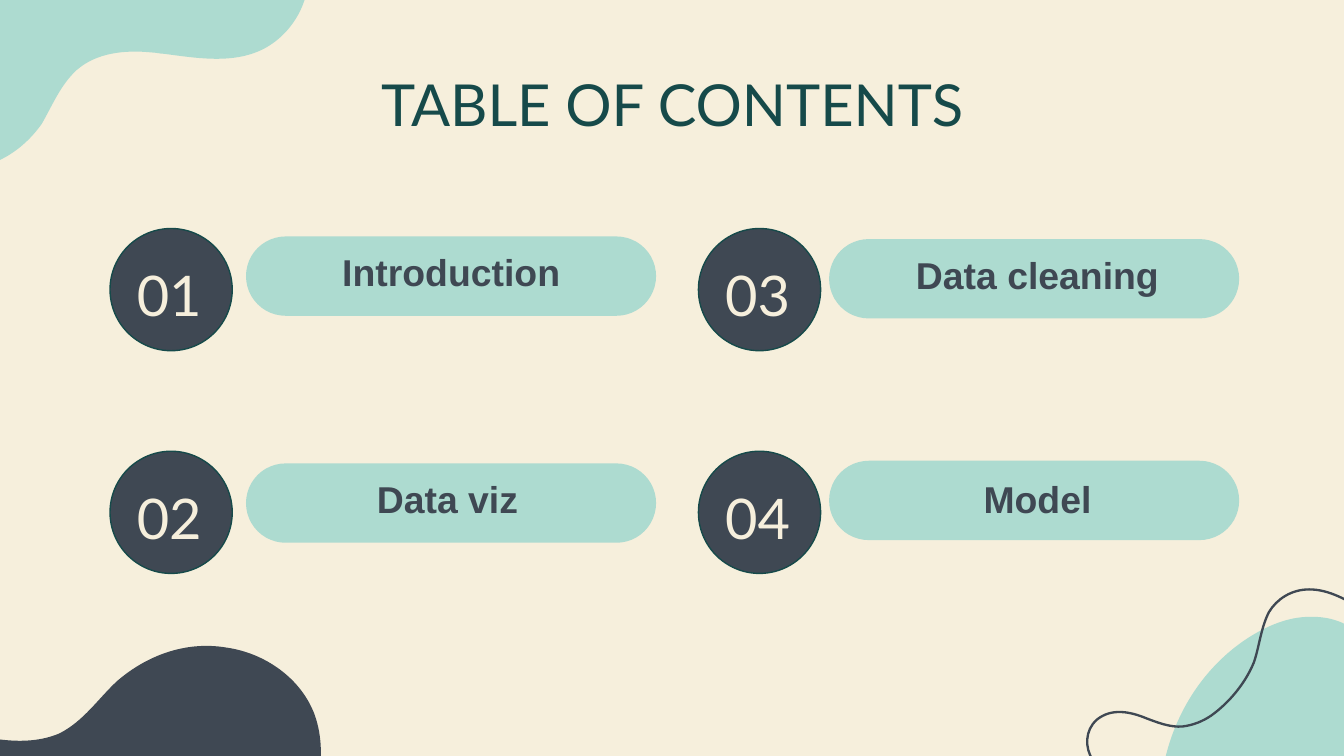
from lxml.etree import SubElement
from pptx import Presentation
from pptx.dml.color import RGBColor
from pptx.enum.shapes import MSO_SHAPE as Preset
from pptx.enum.text import MSO_ANCHOR as Anchor, PP_ALIGN as Align
from pptx.oxml.ns import qn
from pptx.util import Cm, Pt

COLORS = {"cream": "F6EFDC", "mint": "ADDBD0", "slate": "3F4853", "teal": "164A4A"}
OUTLINE_UNIT = Cm(0.0254)

HEADING = {"name": "Lato", "size": Pt(31), "bold": False}
NUMBER = {"name": "Lato", "size": Pt(30), "bold": False}
LABEL = {"name": "Arial", "size": Pt(20), "bold": True}

CORNER_WAVE = [
    (304, 72), (303, 65), (301, 56), (297, 50), (265, 6), (203, 61), (166, 27),
    (149, 11), (144, 0), (116, 9), (93, 16), (74, 35), (70, 59),
    (68, 71), (70, 84), (69, 97), (69, 104), (68, 112), (64, 118),
    (52, 138), (24, 141), (12, 161), (0, 183), (19, 213), (43, 217),
    (68, 221), (92, 205), (106, 185), (114, 171), (120, 156), (132, 145),
    (147, 132), (168, 130), (188, 132), (191, 132), (194, 133), (197, 133),
    (220, 136), (244, 140), (265, 132), (289, 123), (306, 97), (304, 72),
]
DARK_DUNE = [
    (318, 50), (308, 23), (281, 4), (252, 0), (222, -5), (193, 6), (171, 25),
    (157, 38), (146, 55), (128, 64), (102, 75), (71, 67), (44, 60),
    (30, 56), (14, 53), (0, 53), *[(0, 105)] * 3, *[(319, 105)] * 3,
    (324, 86), (324, 67), (318, 50),
]
MINT_HILL = [
    (111, 0), (110, 0), (109, 0), (108, 0), (92, 0), (76, 7), (62, 16),
    (30, 37), (8, 71), (0, 109), *[(145, 109)] * 3,
    (156, 95), (164, 80), (165, 66), (168, 31), (146, 0), (111, 0),
]
VINE = [
    (209, 20), (195, 12), (182, 4), (167, 4), (154, 4), (143, 11), (137, 21),
    (131, 33), (130, 46), (126, 58), (120, 73), (108, 88), (94, 98),
    (88, 102), (81, 105), (73, 106), (64, 107), (54, 103), (46, 100),
    (34, 95), (20, 92), (9, 101), (0, 109), (0, 122), (6, 131),
    (9, 136), (14, 141), (18, 145), (24, 151), (29, 158), (32, 166),
    (35, 177), (35, 189), (32, 200),
]


def color(name):
    """Return the palette colour with this name."""
    return RGBColor.from_string(COLORS[name])


def paint(shape, fill=None, line=None, width=0.75):
    """Give a shape its fill and line, without a shadow."""
    shape.shadow.inherit = False
    for part, name in ((shape.fill, fill), (shape.line.fill, line)):
        if name:
            part.solid()
            part.fore_color.rgb = color(name)
        else:
            part.background()
    if line:
        shape.line.width = Pt(width)


def write(shape, text, style, ink, anchor=Anchor.MIDDLE, spacing=1.0):
    """Write one centred paragraph into a shape without margins."""
    frame = shape.text_frame
    frame.text = text
    layout = {"word_wrap": True, "vertical_anchor": anchor}
    layout |= {f"margin_{side}": 0 for side in ("left", "top", "right", "bottom")}
    for key, value in layout.items():
        setattr(frame, key, value)
    paragraph = frame.paragraphs[0]
    paragraph.alignment = Align.CENTER
    paragraph.line_spacing = spacing
    for key, value in style.items():
        setattr(paragraph.font, key, value)
    paragraph.font.color.rgb = color(ink)


def add_curve(slide, left, top, points, closed=True, **finish):
    """Draw a chain of cubic curves from its top left corner."""
    builder = slide.shapes.build_freeform(*points[0], scale=OUTLINE_UNIT)
    builder.add_line_segments(points[1:], close=closed)
    curve = builder.convert_to_shape(Cm(left), Cm(top))
    outline = next(curve.element.iter(qn("a:path")))
    steps = outline.findall(qn("a:lnTo"))
    place = outline.index(steps[0])
    for first in range(0, len(steps), 3):
        bezier = SubElement(outline, qn("a:cubicBezTo"))
        for step in steps[first:first + 3]:
            bezier.append(step[0])
            outline.remove(step)
        outline.insert(place + first // 3, bezier)
    paint(curve, **finish)


def add_decoration(slide):
    """Place the waves in the corners of the slide."""
    add_curve(slide, 22, 11.66, MINT_HILL, fill="mint")
    add_curve(slide, -2.13, 12.24, DARK_DUNE, fill="slate")
    add_curve(slide, -1.9, -2.36, CORNER_WAVE, fill="mint")
    add_curve(slide, 20.5, 11.04, VINE, closed=False, line="slate", width=1.25)


def add_heading(slide, left, top, width, height):
    """Move the title placeholder into its box and fill it."""
    heading = slide.shapes.title
    box = {"left": left, "top": top, "width": width, "height": height}
    for key, value in box.items():
        setattr(heading, key, Cm(value))
    write(heading, "TABLE OF CONTENTS", HEADING, "teal", Anchor.TOP)


def add_entry(slide, left, top, number, label, pill_at, label_at):
    """Add a numbered badge and a labelled pill, relative to the entry corner."""
    def box(x, y, width, height):
        """Turn offsets from the entry corner into slide lengths."""
        return Cm(left + x), Cm(top + y), Cm(width), Cm(height)

    pill = slide.shapes.add_shape(Preset.ROUNDED_RECTANGLE, *box(*pill_at, 7.75, 1.5))
    pill.adjustments[0] = 0.5
    paint(pill, fill="mint")
    badge = slide.shapes.add_shape(Preset.OVAL, *box(0, 0, 2.31, 2.31))
    paint(badge, fill="slate", line="teal")
    caption = slide.shapes.add_textbox(*box(*label_at, 7.62, 1.5))
    write(caption, label, LABEL, "slate", spacing=0.8)
    numeral = slide.shapes.add_textbox(*box(0.18, 0.26, 1.88, 1.96))
    write(numeral, number, NUMBER, "cream")


def main():
    """Build the contents slide and save it."""
    deck = Presentation()
    deck.slide_width, deck.slide_height = Cm(25.4), Cm(14.29)
    slide = deck.slides.add_slide(deck.slide_layouts[5])
    slide.background.fill.solid()
    slide.background.fill.fore_color.rgb = color("cream")
    add_decoration(slide)
    add_heading(slide, 1.98, 1.3, 21.44, 1.27)
    columns, rows = (2.08, 13.2), (4.32, 8.53)
    entries = [
        ("Introduction", (2.57, 0.15), (2.64, 0.15)),
        ("Data viz", (2.57, 0.23), (2.57, 0.23)),
        ("Data cleaning", (2.47, 0.2), (2.6, 0.2)),
        ("Model", (2.47, 0.18), (2.6, 0.23)),
    ]
    for index, (label, pill_at, label_at) in enumerate(entries):
        column, row = divmod(index, len(rows))
        add_entry(slide, columns[column], rows[row], f"{index + 1:02}", label, pill_at, label_at)
    deck.save("out.pptx")


if __name__ == "__main__":
    main()
